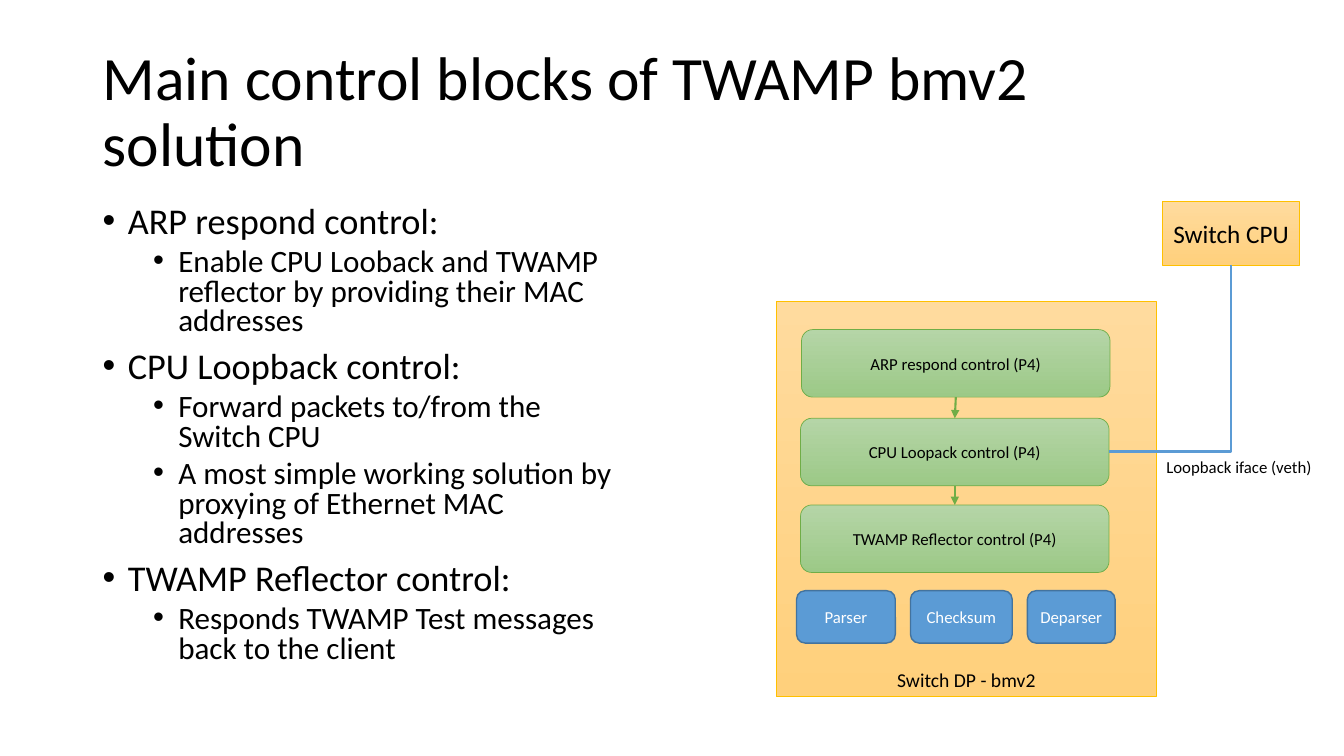
from dataclasses import dataclass, field
from lxml.etree import SubElement
from pptx import Presentation
from pptx.dml.color import RGBColor
from pptx.enum.shapes import MSO_CONNECTOR, MSO_SHAPE
from pptx.enum.text import MSO_ANCHOR, PP_ALIGN
from pptx.oxml.ns import qn
from pptx.slide import Slide
from pptx.util import Inches, Pt

COLORS = {
    "text": "000000", "light_text": "FFFFFF",
    "orange_top": "FFDB9E", "orange_bottom": "FFD07C", "orange_line": "FFC000",
    "green_top": "B5D5A7", "green_bottom": "9CC987", "green_line": "70AD47",
    "blue": "5B9BD5", "blue_line": "43739E",
}
GRID_CELL = 0.1
LOOKS = {
    "orange": {"fill": ("orange_top", "orange_bottom"), "line": "orange_line", "width": 0.5, "text": "text"},
    "green": {"fill": ("green_top", "green_bottom"), "line": "green_line", "width": 0.5, "text": "text"},
    "blue": {"fill": ("blue",), "line": "blue_line", "width": 1, "text": "light_text"},
}
LEVELS = [
    {"size": 25.9, "before": 10, "indent": 0.25},
    {"size": 22.2, "before": 5, "indent": 0.75},
]


def color(name):
    return RGBColor.from_string(COLORS[name])


def grid(*cells):
    return [Inches(cell * GRID_CELL) for cell in cells]


def apply_formats(target, **values):
    for name, value in values.items():
        setattr(target, name, value)


@dataclass
class SlideBuilder:
    slide: Slide
    font: str = "Calibri"
    looks: dict = field(default_factory=lambda: LOOKS)

    def add_words(self, paragraph, text, size, ink="text", **formats):
        run = paragraph.add_run()
        run.text = text
        apply_formats(run.font, name=self.font, size=Pt(size))
        run.font.color.rgb = color(ink)
        apply_formats(paragraph, **formats)

    def label(self, cells, text, size, anchor=MSO_ANCHOR.TOP, wrap=True, **formats):
        frame = self.slide.shapes.add_textbox(*grid(*cells)).text_frame
        apply_formats(frame, word_wrap=wrap, vertical_anchor=anchor)
        self.add_words(frame.paragraphs[0], text, size, **formats)

    def bullets(self, cells, items):
        frame = self.slide.shapes.add_textbox(*grid(*cells)).text_frame
        frame.word_wrap = True
        for index, (level, text) in enumerate(items):
            paragraph = frame.add_paragraph() if index else frame.paragraphs[0]
            style = LEVELS[level]
            self.add_words(paragraph, text, style["size"], level=level,
                           line_spacing=0.8, space_before=Pt(style["before"]))
            properties = paragraph._p.get_or_add_pPr()
            properties.set("marL", str(Inches(style["indent"])))
            properties.set("indent", str(Inches(-0.25)))
            SubElement(properties, qn("a:buFont"), typeface="Arial")
            SubElement(properties, qn("a:buChar"), char="•")

    def box(self, cells, text, look, size=12, kind=MSO_SHAPE.ROUNDED_RECTANGLE, anchor=MSO_ANCHOR.MIDDLE):
        style = self.looks[look]
        shape = self.slide.shapes.add_shape(kind, *grid(*cells))
        shape.shadow.inherit = False
        if len(style["fill"]) > 1:
            shape.fill.gradient()
            shape.fill.gradient_angle = 270
            for stop, name, position in zip(shape.fill.gradient_stops, style["fill"], (0, 1)):
                stop.position = position
                stop.color.rgb = color(name)
        else:
            shape.fill.solid()
            shape.fill.fore_color.rgb = color(style["fill"][0])
        shape.line.color.rgb = color(style["line"])
        shape.line.width = Pt(style["width"])
        frame = shape.text_frame
        apply_formats(frame, word_wrap=True, vertical_anchor=anchor,
                      margin_left=Inches(0.05), margin_right=Inches(0.05))
        self.add_words(frame.paragraphs[0], text, size, style["text"], alignment=PP_ALIGN.CENTER)

    def connector(self, cells, ink, arrow=False, bent=False):
        kind = MSO_CONNECTOR.ELBOW if bent else MSO_CONNECTOR.STRAIGHT
        connector = self.slide.shapes.add_connector(kind, *grid(*cells))
        connector.line.color.rgb = color(ink)
        connector.line.width = Pt(1.5)
        properties = connector._element.spPr
        if bent:
            properties.find(qn("a:prstGeom")).set("prst", "bentConnector2")
        if arrow:
            SubElement(properties.find(qn("a:ln")), qn("a:tailEnd"), type="triangle")
        SubElement(properties, qn("a:effectLst"))


presentation = Presentation()
apply_formats(presentation, slide_width=Inches(13.33), slide_height=Inches(7.5))
builder = SlideBuilder(presentation.slides.add_slide(presentation.slide_layouts[6]))

builder.label((9.2, 4, 115, 14.5), "Main control blocks of TWAMP bmv2 solution", 44,
              anchor=MSO_ANCHOR.MIDDLE, line_spacing=0.9)
builder.bullets((9.2, 20, 52.7, 47.6), [
    (0, "ARP respond control:"),
    (1, "Enable CPU Looback and TWAMP reflector by providing their MAC addresses"),
    (0, "CPU Loopback control:"),
    (1, "Forward packets to/from the Switch CPU"),
    (1, "A most simple working solution by proxying of Ethernet MAC addresses"),
    (0, "TWAMP Reflector control:"),
    (1, "Responds TWAMP Test messages back to the client"),
])

builder.box((77, 29.9, 37.7, 39.2), "Switch DP - bmv2", "orange", 14, MSO_SHAPE.RECTANGLE, MSO_ANCHOR.BOTTOM)
builder.box((115.3, 20, 13.6, 6.3), "Switch CPU", "orange", 18, MSO_SHAPE.RECTANGLE)

CONTROL_WIDTH, CONTROL_HEIGHT = 30.6, 6.7
controls = [
    (79.5, 32.7, "ARP respond control (P4)"),
    (79.4, 41.5, "CPU Loopack control (P4)"),
    (79.4, 50.1, "TWAMP Reflector control (P4)"),
]
for left, top, name in controls:
    builder.box((left, top, CONTROL_WIDTH, CONTROL_HEIGHT), name, "green")
for (left, top, _), (next_left, next_top, _) in zip(controls, controls[1:]):
    builder.connector((left + CONTROL_WIDTH / 2, top + CONTROL_HEIGHT,
                       next_left + CONTROL_WIDTH / 2, next_top), "green_line", arrow=True)

builder.connector((110, 44.8, 122.1, 26.3), "blue", bent=True)
builder.label((114.7, 44.8, 16.6, 3), "Loopback iface (veth)", 12, wrap=False)

left = 79
for name, width in [("Parser", 9.8), ("Checksum", 10.1), ("Deparser", 8.7)]:
    builder.box((left, 58.6, width, 5.2), name, "blue")
    left += width + 1.5

presentation.save("out.pptx")
